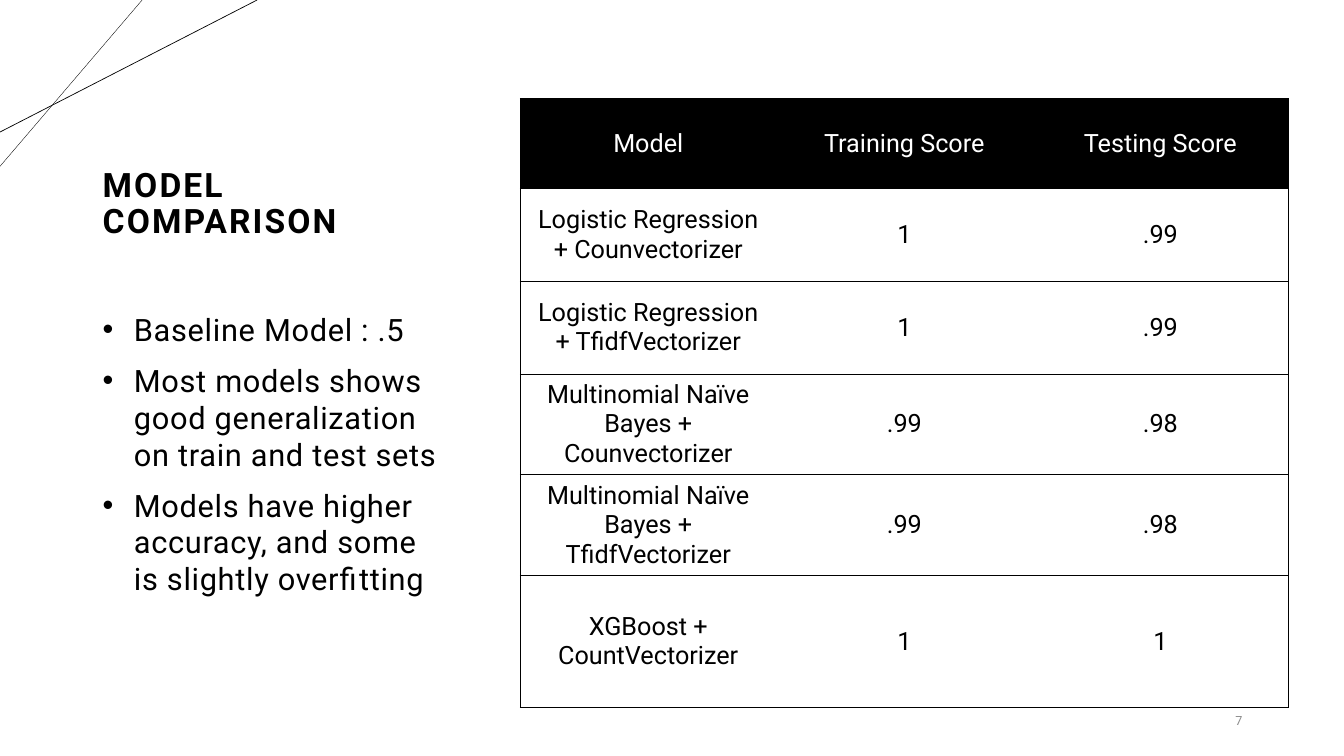
from dataclasses import dataclass
from typing import NamedTuple

from lxml.etree import SubElement
from pptx import Presentation
from pptx.dml.color import RGBColor
from pptx.enum.shapes import MSO_CONNECTOR
from pptx.enum.text import MSO_ANCHOR, PP_ALIGN
from pptx.oxml.ns import qn
from pptx.util import Emu, Inches, Pt


@dataclass(frozen=True)
class Theme:
    font: str = "Roboto"
    ink: RGBColor = RGBColor(0x00, 0x00, 0x00)
    paper: RGBColor = RGBColor(0xFF, 0xFF, 0xFF)
    muted: RGBColor = RGBColor(0x8C, 0x8C, 0x8C)
    title: float = 24
    body: float = 22
    cell: float = 18
    number: float = 9
    rule: float = 0.5
    hairline: float = 0.25


class Box(NamedTuple):
    left: float
    top: float
    width: float
    height: float


class Line(NamedTuple):
    x1: float
    y1: float
    x2: float
    y2: float
    width: float


class Score(NamedTuple):
    model: str
    training: str
    testing: str
    height: float


THEME = Theme()
LINES = [
    Line(1.41, 0, 0, 1.65, THEME.hairline),
    Line(2.55, 0, 0, 1.31, THEME.rule),
]
BULLETS = [
    "Baseline Model : .5",
    "Most models shows good generalization on train and test sets",
    "Models have higher accuracy, and some is slightly overfitting",
]
SCORES = [
    Score("Model", "Training Score", "Testing Score", 0.89),
    Score("Logistic Regression + Counvectorizer", "1", ".99", 0.92),
    Score("Logistic Regression + TfidfVectorizer", "1", ".99", 0.92),
    Score("Multinomial Naïve Bayes + Counvectorizer", ".99", ".98", 0.98),
    Score("Multinomial Naïve Bayes + TfidfVectorizer", ".99", ".98", 0.98),
    Score("XGBoost + CountVectorizer", "1", "1", 1.31),
]


def style(p, size: float, color: RGBColor, bold: bool = False, spacing: float = 0) -> None:
    """Format the runs of a paragraph; spacing is letter spacing in points."""
    for r in p.runs:
        r.font.name = THEME.font
        r.font.size = Pt(size)
        r.font.bold = bold
        r.font.color.rgb = color
        if spacing:
            r.font._element.set("spc", str(round(spacing * 100)))


def add_text(slide, box: Box, text: str, anchor: MSO_ANCHOR):
    sp = slide.shapes.add_textbox(*map(Inches, box))
    tf = sp.text_frame
    tf.word_wrap = True
    tf.vertical_anchor = anchor
    tf.text = text
    return tf


def add_bullet(p) -> None:
    pPr = p._p.get_or_add_pPr()
    indent = Inches(0.31)
    pPr.set("marL", str(indent))
    pPr.set("indent", str(-indent))
    SubElement(pPr, qn("a:buFont"), typeface="Arial")
    SubElement(pPr, qn("a:buChar"), char="•")


def add_line(slide, line: Line) -> None:
    ends = map(Inches, line[:4])
    cn = slide.shapes.add_connector(MSO_CONNECTOR.STRAIGHT, *ends)
    cn.line.color.rgb = THEME.ink
    cn.line.width = Pt(line.width)
    SubElement(cn._element.spPr, qn("a:effectLst"))


def set_borders(cell, visible: str) -> None:
    """Draw the sides named in visible (letters of LRTB) and clear the others."""
    tcPr = cell._tc.get_or_add_tcPr()
    for side in "LRTB":
        ln = SubElement(tcPr, qn(f"a:ln{side}"), w=str(Pt(THEME.rule)))
        if side in visible:
            fill = SubElement(ln, qn("a:solidFill"))
            SubElement(fill, qn("a:srgbClr"), val=str(THEME.ink))
        else:
            SubElement(ln, qn("a:noFill"))


def add_scores(slide, left: float, top: float, col_width: float) -> None:
    cols = 3
    size = (col_width * cols, sum(s.height for s in SCORES))
    frame = slide.shapes.add_table(
        len(SCORES), cols, *map(Inches, (left, top, *size)))
    table = frame.table
    table.horz_banding = False
    for column in table.columns:
        column.width = Inches(col_width)
    for i, score in enumerate(SCORES):
        table.rows[i].height = Inches(score.height)
        fill, color = (THEME.paper, THEME.ink) if i else (THEME.ink, THEME.paper)
        for j, text in enumerate(score[:cols]):
            cell = table.cell(i, j)
            set_borders(cell, "TB" + {0: "L", cols - 1: "R"}.get(j, ""))
            cell.fill.solid()
            cell.fill.fore_color.rgb = fill
            cell.vertical_anchor = MSO_ANCHOR.MIDDLE
            cell.text_frame.text = text
            p = cell.text_frame.paragraphs[0]
            p.alignment = PP_ALIGN.CENTER
            style(p, THEME.cell, color)


def main() -> None:
    prs = Presentation()
    prs.slide_width, prs.slide_height = Inches(13.33), Inches(7.5)
    slide = prs.slides.add_slide(prs.slide_layouts[6])
    slide.background.fill.solid()
    slide.background.fill.fore_color.rgb = THEME.paper

    for line in LINES:
        add_line(slide, line)

    tf = add_text(slide, Box(0.92, 0.98, 3.55, 2.1), "MODEL COMPARISON", MSO_ANCHOR.MIDDLE)
    tf.paragraphs[0].line_spacing = 0.9
    style(tf.paragraphs[0], THEME.title, THEME.ink, bold=True, spacing=1.5)

    tf = add_text(slide, Box(0.92, 3.08, 3.55, 3.54), "\n".join(BULLETS), MSO_ANCHOR.TOP)
    tf.margin_top = Emu(0)
    for p in tf.paragraphs:
        p.space_before = Pt(10)
        add_bullet(p)
        style(p, THEME.body, THEME.ink, spacing=0.5)

    add_scores(slide, 5.16, 0.98, 2.54)

    tf = add_text(slide, Box(11.34, 6.95, 1.08, 0.4), "7", MSO_ANCHOR.MIDDLE)
    tf.paragraphs[0].alignment = PP_ALIGN.RIGHT
    style(tf.paragraphs[0], THEME.number, THEME.muted)

    prs.save("out.pptx")


if __name__ == "__main__":
    main()
